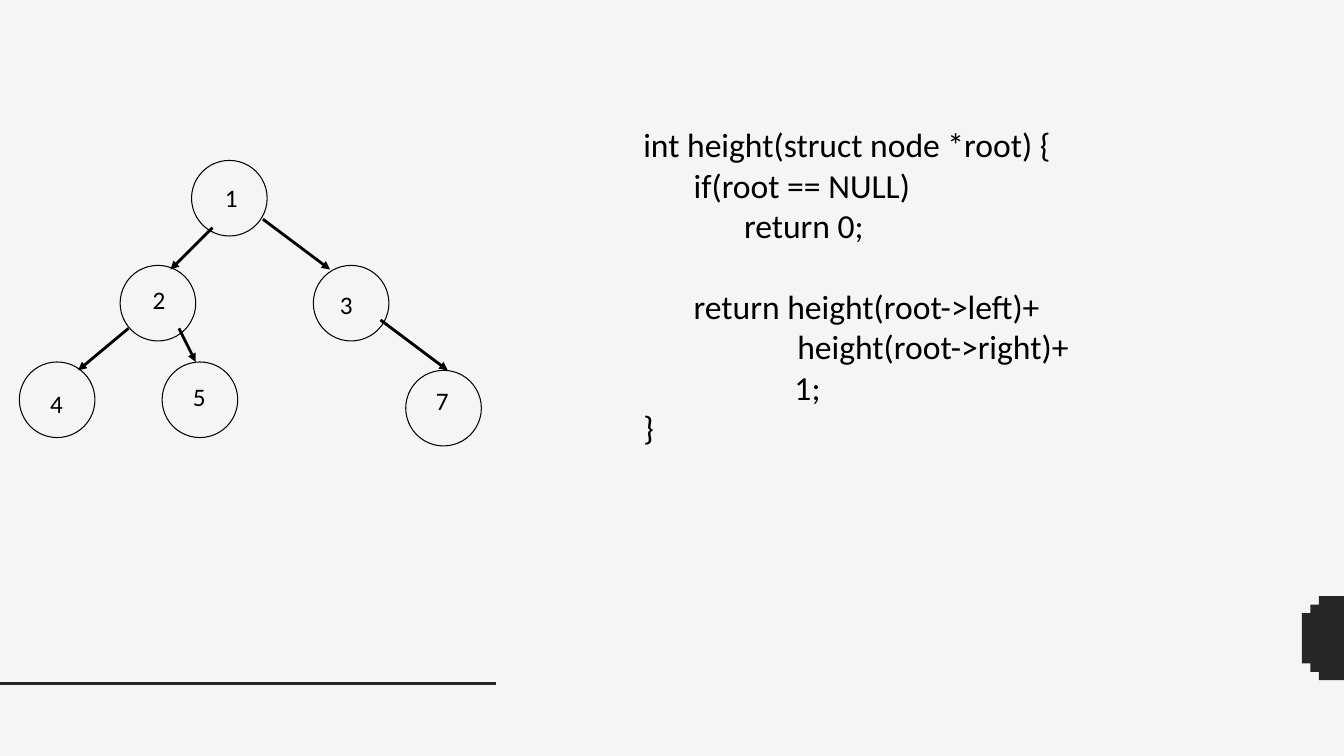
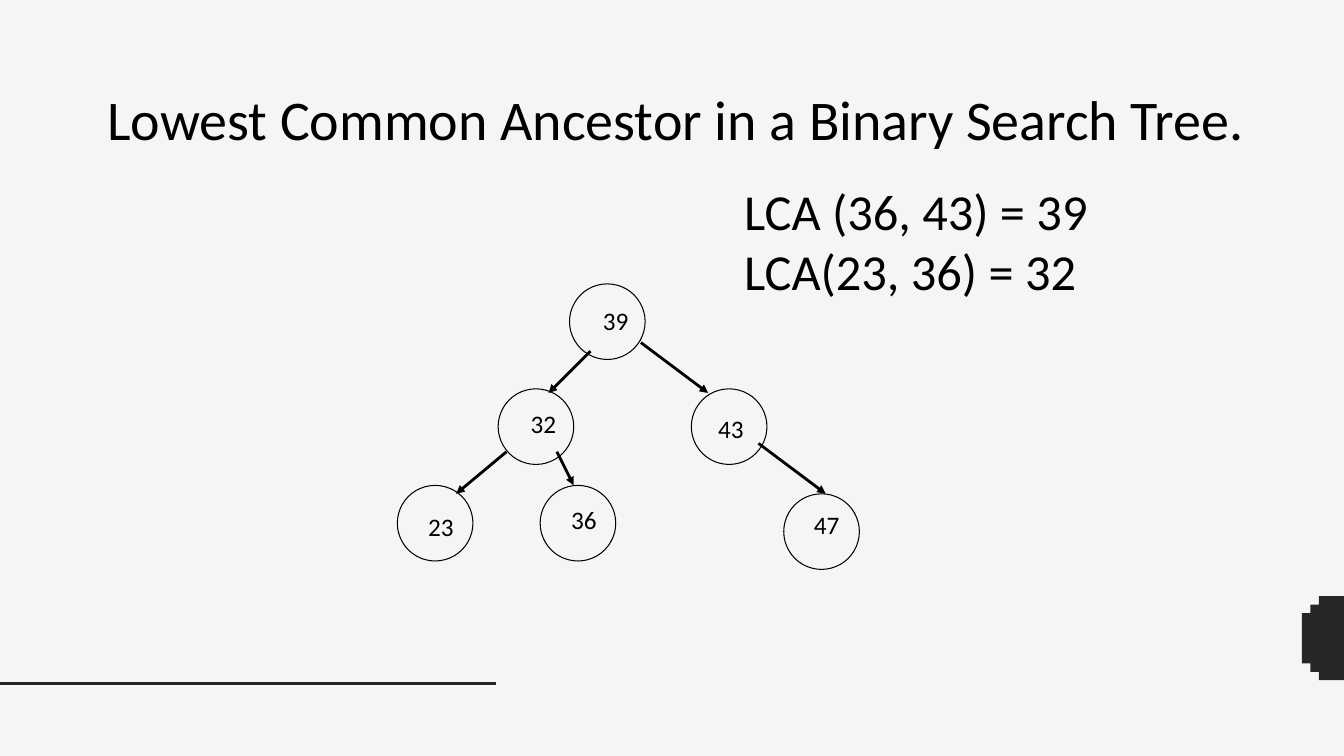
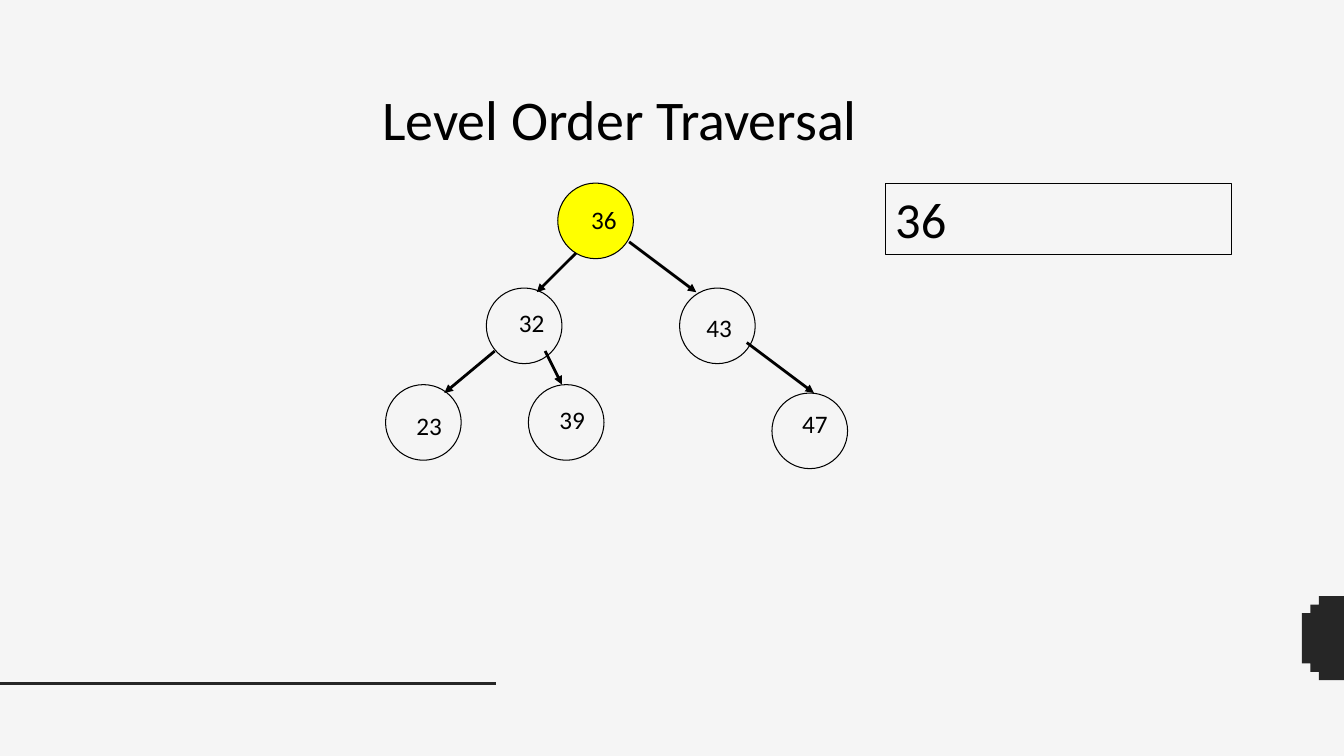
"""Build three slides on binary trees: height, lowest common ancestor, level order."""
import math

import lxml.etree
import pptx
import pptx.dml.color
import pptx.enum.shapes
import pptx.enum.text
import pptx.oxml.ns
import pptx.util

INK, DARK, PAPER, VISITED = "000000", "262626", "F5F5F5", "FFFF00"
FONT = "Calibri"
COLUMNS = 160
qn = pptx.oxml.ns.qn

deck = pptx.Presentation()
deck.slide_width = pptx.util.Inches(13.33)
deck.slide_height = pptx.util.Inches(7.5)
cell = deck.slide_width / COLUMNS


def paint(fill, color):
    fill.solid()
    fill.fore_color.rgb = pptx.dml.color.RGBColor.from_string(color)


def write(box, text, size):
    frame = box.text_frame
    frame.word_wrap = True
    frame.vertical_anchor = pptx.enum.text.MSO_ANCHOR.TOP
    frame.text = text
    for paragraph in frame.paragraphs:
        paragraph.alignment = pptx.enum.text.PP_ALIGN.LEFT
        for run in paragraph.runs:
            run.font.name = FONT
            run.font.size = pptx.util.Pt(size)
            paint(run.font.fill, INK)


paint(deck.slide_master.background.fill, PAPER)

NODE_SIZE = 9
NODES = [
    (0, 0, 2.8, 2),
    (-8.5, 12.5, 2.7, 1.7),
    (14.5, 12.5, 2, 2.3),
    (-20.5, 24, 2.5, 2.5),
    (-3.5, 24, 2.5, 1.7),
    (25.5, 25, 2.4, 1.2),
]
EDGES = [
    (2.5, 8, -2.5, 13),
    (8.5, 7, 16.5, 13),
    (-7.5, 20, -13.5, 25),
    (-1.5, 20, 0.5, 24),
    (22.5, 19, 30.5, 25),
]
FOOTER_RULE = (0, 81.4, 59, 81.4)
BADGE_Y, BADGE_RADIUS, BADGE_STEPS = 76, 5.4, 48

HEIGHT_CODE = """int height(struct node *root) {
\tif(root == NULL)
\t\treturn 0;
\treturn height(root->left)+
\t\t       height(root->right)+
\t\t\t1;
}"""
AFTER_BASE_CASE = 3
TAB_STOPS = [0.5, 1, 1.5]

trees = [
    (22.8, 19.1, ["1", "2", "3", "4", "5", "7"], None),
    (67.8, 33.8, ["39", "32", "43", "23", "36", "47"], None),
    (66.4, 21.8, ["36", "32", "43", "23", "39", "47"], "36"),
]
passages = [
    [(75.4, 14.2, 84, 49.7, HEIGHT_CODE, 24)],
    [
        (11.6, 9.5, 141.4, 9.2, "Lowest Common Ancestor in a Binary Search Tree.", 40),
        (87.4, 20.8, 55.6, 15.7, "LCA (36, 43) = 39\nLCA(23, 36) = 32", 36),
    ],
    [(44.3, 9.5, 119.6, 9.2, "Level Order Traversal", 40)],
]

for (root_x, root_y, labels, visited), texts in zip(trees, passages):
    slide = deck.slides.add_slide(deck.slide_layouts[6])
    shapes = slide.shapes

    angles = [math.pi * (0.5 + step / BADGE_STEPS) for step in range(BADGE_STEPS + 1)]
    rim = [
        (COLUMNS + BADGE_RADIUS * math.cos(angle), BADGE_Y + BADGE_RADIUS * math.sin(angle))
        for angle in angles
    ]
    outline = shapes.build_freeform(*rim[0], scale=cell)
    outline.add_line_segments(rim[1:], close=True)
    badge = outline.convert_to_shape()
    badge.shadow.inherit = False
    paint(badge.fill, DARK)
    badge.line.fill.background()

    arrows = [
        (root_x + x1, root_y + y1, root_x + x2, root_y + y2) for x1, y1, x2, y2 in EDGES
    ]
    for ends in [FOOTER_RULE] + arrows:
        link = shapes.add_connector(
            pptx.enum.shapes.MSO_CONNECTOR.STRAIGHT, *[round(end * cell) for end in ends]
        )
        link.line.width = pptx.util.Pt(2)
        paint(link.line.fill, DARK if ends == FOOTER_RULE else INK)
        properties = link.element.spPr
        if ends != FOOTER_RULE:
            lxml.etree.SubElement(properties.find(qn("a:ln")), qn("a:tailEnd"), type="triangle")
        lxml.etree.SubElement(properties, qn("a:effectLst"))

    for (x, y, label_x, label_y), label in zip(NODES, labels):
        left, top = root_x + x, root_y + y
        node = shapes.add_shape(
            pptx.enum.shapes.MSO_SHAPE.OVAL,
            *[round(side * cell) for side in (left, top, NODE_SIZE, NODE_SIZE)],
        )
        node.shadow.inherit = False
        node.line.width = pptx.util.Pt(0.75)
        paint(node.line.fill, INK)
        if label == visited:
            paint(node.fill, VISITED)
        else:
            node.fill.background()
        texts.append((left + label_x, top + label_y, 6, 4.8, label, 18))

    for *place, text, size in texts:
        passage = shapes.add_textbox(*[round(side * cell) for side in place])
        write(passage, text, size)
        if text == HEIGHT_CODE:
            lines = passage.text_frame.paragraphs
            lines[AFTER_BASE_CASE].space_before = pptx.util.Pt(29)
            for line in lines:
                stops = lxml.etree.SubElement(line._p.get_or_add_pPr(), qn("a:tabLst"))
                for stop in TAB_STOPS:
                    position = str(pptx.util.Inches(stop))
                    lxml.etree.SubElement(stops, qn("a:tab"), pos=position, algn="l")

visit_order = shapes.add_shape(
    pptx.enum.shapes.MSO_SHAPE.RECTANGLE,
    *[round(side * cell) for side in (105.4, 21.8, 41.2, 8.5)],
)
visit_order.shadow.inherit = False
visit_order.fill.background()
visit_order.line.width = pptx.util.Pt(0.75)
paint(visit_order.line.fill, INK)
write(visit_order, "36", 36)

deck.save("out.pptx")
